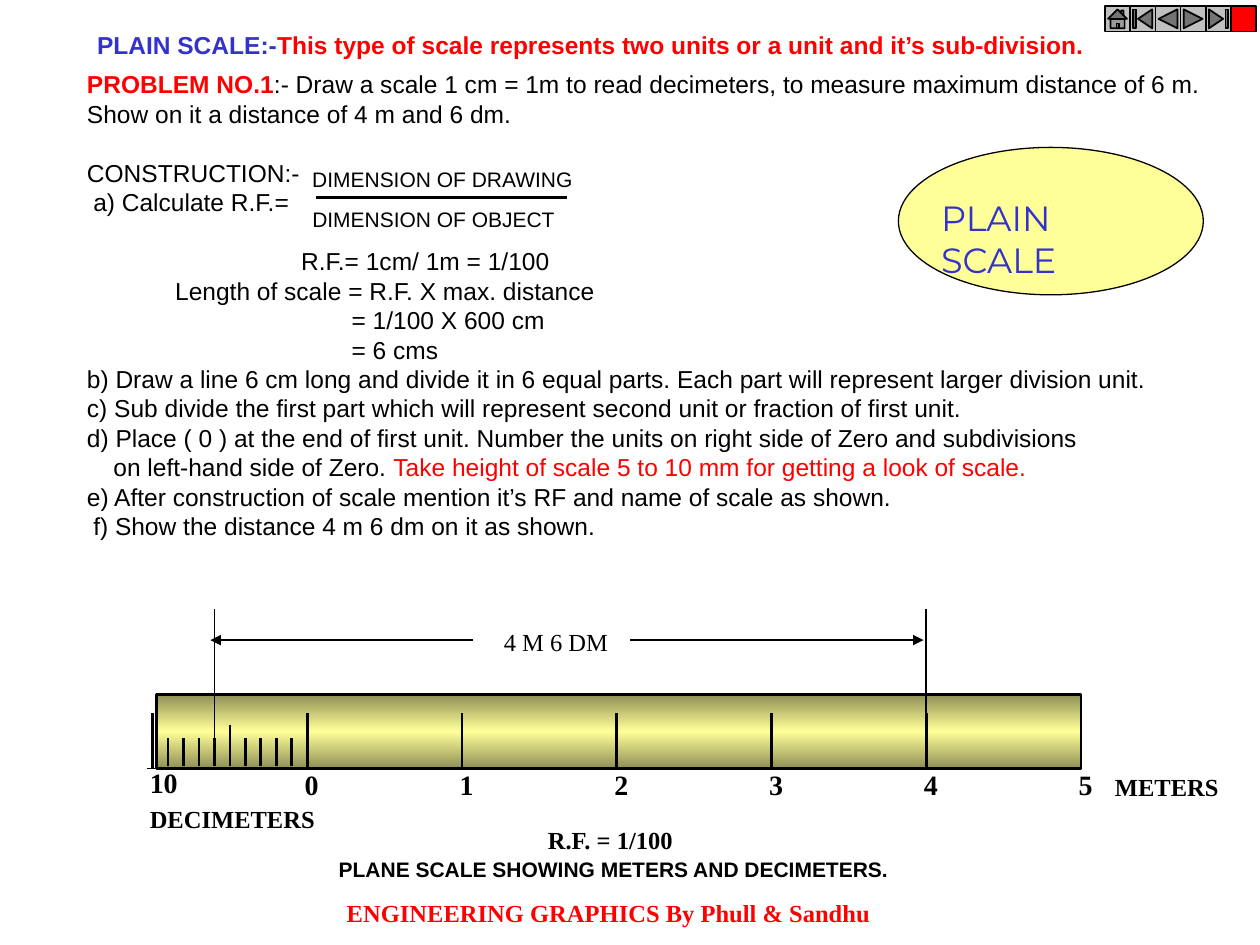
from copy import deepcopy

from pptx import Presentation
from pptx.dml.color import RGBColor
from pptx.enum.shapes import MSO_CONNECTOR, MSO_SHAPE
from pptx.enum.text import MSO_ANCHOR, MSO_AUTO_SIZE, PP_ALIGN
from pptx.oxml.ns import qn
from pptx.util import Inches, Pt

BLACK, RED, BLUE = "000000", "FF0000", "3333CC"
YELLOW, OLIVE, GREY = "FFFF99", "8F8F56", "C0C0C0"
LINE_PITCH = Pt(16.84)

SANS = {"name": "Arial", "size": Pt(14), "bold": False}
SANS_BOLD = {**SANS, "bold": True}
SANS_SMALL = {**SANS, "size": Pt(12)}
SERIF = {**SANS, "name": "Times New Roman"}
SERIF_BOLD = {**SERIF, "bold": True}
NUMBER = {**SERIF_BOLD, "size": Pt(16)}

# Each step: indent in inches, gap before in lines, spans of (text, colour, format)
STEPS = [
    (0, 0, [("PROBLEM NO.1", RED, SANS_BOLD),
            (":- Draw a scale 1 cm = 1m to read decimeters, to measure maximum "
             "distance of 6 m.", BLACK, SANS)]),
    (0, 0, [("Show on it a distance of 4 m and 6 dm.", BLACK, SANS)]),
    (0, 1, [("CONSTRUCTION:-", BLACK, SANS)]),
    (0.05, 0, [("a) Calculate R.F.=", BLACK, SANS)]),
    (1.7, 1, [("R.F.= 1cm/ 1m = 1/100", BLACK, SANS)]),
    (0.7, 0, [("Length of scale = R.F. X max. distance", BLACK, SANS)]),
    (2.1, 0, [("= 1/100 X 600 cm", BLACK, SANS)]),
    (2.1, 0, [("= 6 cms", BLACK, SANS)]),
    (0, 0, [("b) Draw a line 6 cm long and divide it in 6 equal parts. Each part "
             "will represent larger division unit.", BLACK, SANS)]),
    (0, 0, [("c) Sub divide the first part which will represent second unit or "
             "fraction of first unit.", BLACK, SANS)]),
    (0, 0, [("d) Place ( 0 ) at the end of first unit. Number the units on right "
             "side of Zero and subdivisions", BLACK, SANS)]),
    (0.21, 0, [("on left-hand side of Zero. ", BLACK, SANS),
               ("Take height of scale 5 to 10 mm for getting a look of scale.",
                RED, SANS)]),
    (0, 0, [("e) After construction of scale mention it’s RF and name of scale "
             "as shown.", BLACK, SANS)]),
    (0.05, 0, [("f) Show the distance 4 m 6 dm on it as shown.", BLACK, SANS)]),
]


def colour(value):
    return RGBColor.from_string(value)


def inches(box):
    return [Inches(value) for value in box]


def add_span(para, text, ink, style):
    span = para.add_run()
    span.text = text
    for key, value in style.items():
        setattr(span.font, key, value)
    span.font.color.rgb = colour(ink)


def place(holder, box, wrap=False):
    holder.left, holder.top, holder.width, holder.height = inches(box)
    frame = holder.text_frame
    settings = {"word_wrap": wrap, "auto_size": MSO_AUTO_SIZE.NONE,
                "vertical_anchor": MSO_ANCHOR.TOP}
    for key, value in settings.items():
        setattr(frame, key, value)
    return frame


def add_label(page, box, text, ink, style, wrap=False, align=PP_ALIGN.LEFT):
    frame = place(page.shapes.add_textbox(*inches(box)), box, wrap)
    para = frame.paragraphs[0]
    para.alignment = align
    add_span(para, text, ink, style)


def add_line(page, start, end, weight, arrow=False):
    line = page.shapes.add_connector(
        MSO_CONNECTOR.STRAIGHT, *inches(start), *inches(end))
    line.line.color.rgb = colour(BLACK)
    line.line.width = Pt(weight)
    properties = line._element.spPr
    if arrow:
        head = line.line._get_or_add_ln()
        head.append(head.makeelement(qn("a:tailEnd"), {"type": "triangle"}))
    properties.append(properties.makeelement(qn("a:effectLst"), {}))


def add_figure(page, kind, box, fill, weight):
    figure = page.shapes.add_shape(kind, *inches(box))
    figure.shadow.inherit = False
    figure.fill.solid()
    figure.fill.fore_color.rgb = colour(fill)
    figure.line.color.rgb = colour(BLACK)
    figure.line.width = Pt(weight)
    return figure


def heading(page, box):
    para = place(page.shapes.title, box).paragraphs[0]
    para.alignment = PP_ALIGN.LEFT
    add_span(para, "PLAIN SCALE:-", BLUE, SANS_BOLD)
    add_span(para, "This type of scale represents two units or a unit and it’s "
             "sub-division.", RED, SANS_BOLD)


def construction(page, box):
    frame = place(page.placeholders[1], box)
    for index, (indent, gap, spans) in enumerate(STEPS):
        para = frame.paragraphs[0] if index == 0 else frame.add_paragraph()
        properties = para._p.get_or_add_pPr()
        properties.set("marL", str(Inches(indent)))
        properties.set("indent", "0")
        properties.append(properties.makeelement(qn("a:buNone"), {}))
        para.line_spacing = LINE_PITCH
        para.space_before = Pt(LINE_PITCH.pt * gap)
        for span in spans:
            add_span(para, *span)


def fraction(page, box):
    left, top, width, height = box
    add_label(page, (left, top, width, height), "DIMENSION OF DRAWING", BLACK, SANS_SMALL)
    add_label(page, (left, top + 0.32, width - 0.15, height), "DIMENSION OF OBJECT",
              BLACK, SANS_SMALL)
    add_line(page, (left + 0.13, top + height), (left + 2.12, top + height), 1.5)


def badge(page, box):
    left, top, width, height = box
    add_figure(page, MSO_SHAPE.OVAL, box, YELLOW, 0.75)
    add_label(page, (left + 0.24, top + 0.34, 1.95, 0.44), "PLAIN SCALE", BLUE,
              {"name": "Montserrat", "size": Pt(20)}, wrap=True)


def scale(page, box):
    left, top, width, height = box
    base, zero = top + height, left - 0.03
    unit = (left + width - zero) / 6

    # Shaded bar
    bar = add_figure(page, MSO_SHAPE.RECTANGLE, box, YELLOW, 1.5)
    bar.fill.gradient()
    bar.fill.gradient_angle = 90
    stops = bar.fill._fill._gradFill.gsLst
    stops.insert(1, deepcopy(stops[0]))
    for stop, shade, position in zip(
            bar.fill.gradient_stops, (OLIVE, YELLOW, OLIVE), (0, 0.5, 1)):
        stop.color.rgb = colour(shade)
        stop.position = position

    # Meter and decimeter divisions
    add_line(page, (zero - 0.04, base), (left + width, base), 0.75)
    for index in range(7):
        x = zero + unit * index
        add_line(page, (x, top + 0.15), (x, base), 1.5)
    for index in range(1, 10):
        x = zero + unit / 10 * index
        add_line(page, (x, top + (0.24 if index == 5 else 0.35)), (x, base - 0.02), 1.5)

    # Numbers and captions
    add_label(page, (left - 0.15, base - 0.07, 0.42, 0.37), "10", BLACK, NUMBER)
    for index in range(6):
        add_label(page, (left + 1.08 + unit * index, base - 0.06, 0.31, 0.37),
                  str(index), BLACK, NUMBER)
    add_label(page, (8.75, base - 0.02, 1.02, 0.34), "METERS", BLACK, SERIF_BOLD)
    add_label(page, (1.09, base + 0.23, 1.51, 0.34), "DECIMETERS", BLACK, SERIF_BOLD)
    add_label(page, (4.25, base + 0.4, 1.21, 0.34), "R.F. = 1/100", BLACK, SERIF_BOLD)
    add_label(page, (2.59, base + 0.65, 4.57, 0.3),
              "PLANE SCALE SHOWING METERS AND DECIMETERS.", BLACK,
              {**SANS_SMALL, "bold": True})


def dimension(page, box):
    left, top, width, height = box
    right, middle = left + width, top + 0.25
    add_line(page, (left, top + height), (left, top), 0.75)
    add_line(page, (right, top + height - 0.17), (right, top), 0.75)
    add_line(page, (3.75, middle), (left - 0.03, middle), 0.75, arrow=True)
    add_line(page, (5, middle), (right - 0.02, middle), 0.75, arrow=True)
    add_label(page, (3.9, top + 0.1, 1.03, 0.34), "4 M 6 DM", BLACK, SERIF)


def navigation(page, box):
    left, top, side = box
    kinds = ("HOME", "BEGINNING", "BACK_OR_PREVIOUS", "FORWARD_OR_NEXT", "END", "CUSTOM")
    for index, kind in enumerate(kinds):
        add_figure(page, getattr(MSO_SHAPE, "ACTION_BUTTON_" + kind),
                   (left + side * index, top, side, side),
                   RED if kind == "CUSTOM" else GREY, 1)


def main():
    deck = Presentation()
    deck.slide_width, deck.slide_height = Inches(10), Inches(7.5)
    page = deck.slides.add_slide(deck.slide_layouts[1])
    heading(page, (0.67, 0.19, 8.1, 0.34))
    construction(page, (0.59, 0.5, 9.04, 4.31))
    fraction(page, (2.38, 1.27, 2.27, 0.3))
    badge(page, (7.13, 1.17, 2.42, 1.17))
    scale(page, (1.24, 5.51, 7.34, 0.59))
    dimension(page, (1.7, 4.83, 5.65, 1.09))
    navigation(page, (8.77, 0.05, 0.2))
    add_label(page, (2.33, 7.08, 5, 0.42), "ENGINEERING GRAPHICS By Phull & Sandhu",
              RED, SERIF_BOLD, wrap=True, align=PP_ALIGN.CENTER)
    deck.save("out.pptx")


if __name__ == "__main__":
    main()
